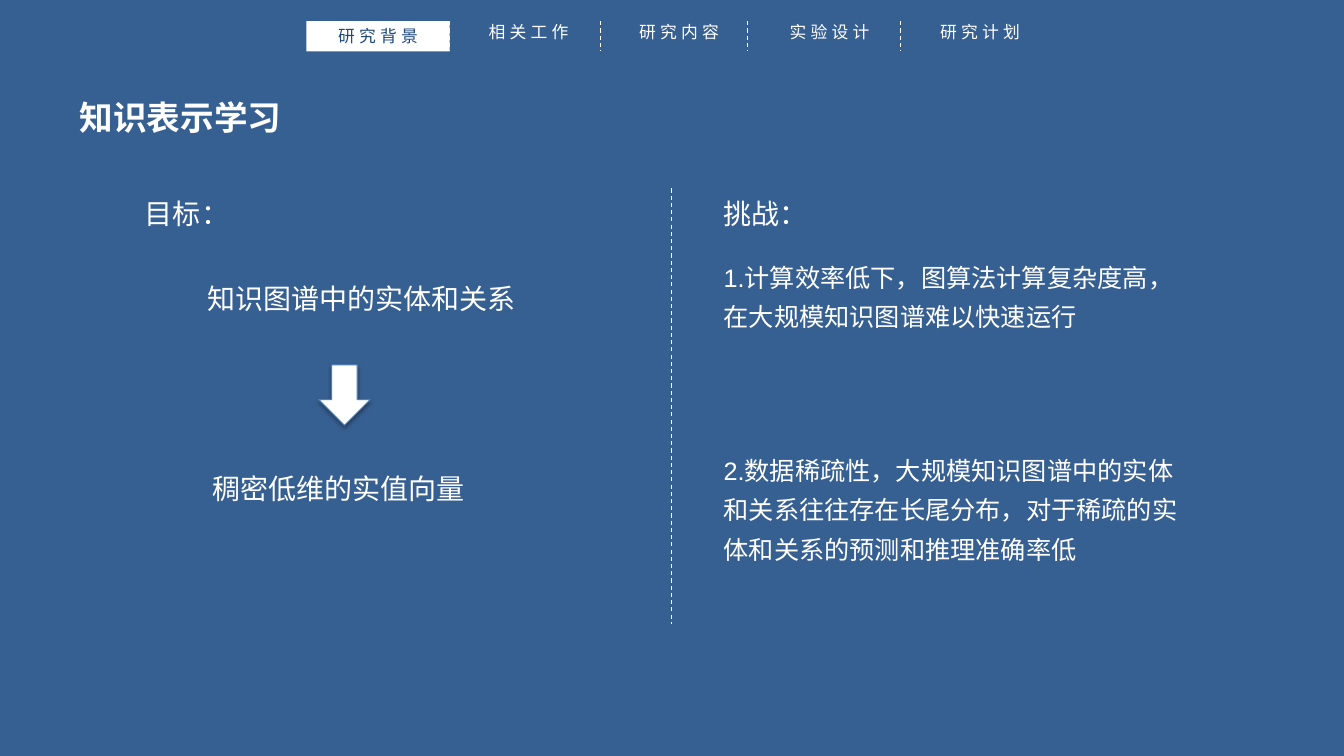
from dataclasses import dataclass

from lxml.etree import SubElement
from pptx import Presentation
from pptx.dml.color import RGBColor
from pptx.enum.dml import MSO_LINE
from pptx.enum.shapes import MSO_CONNECTOR, MSO_SHAPE
from pptx.enum.text import MSO_ANCHOR, PP_ALIGN
from pptx.oxml.ns import qn
from pptx.util import Inches, Pt

COLORS = {"background": "376092", "white": "FFFFFF", "navy": "1F497D",
          "arrow_edge": "4B7EBC", "shadow": "000000"}
WIDTH, HEIGHT = Inches(13.33), Inches(7.5)


@dataclass(frozen=True)
class Box:
    """A rectangle in percent of the slide's width and height."""
    left: float
    top: float
    width: float
    height: float

    def emu(self) -> tuple[int, int, int, int]:
        return (across(self.left), down(self.top),
                across(self.width), down(self.height))


@dataclass(frozen=True)
class Style:
    size: float
    color: str = "white"
    bold: bool = False
    align: PP_ALIGN = PP_ALIGN.LEFT
    line_spacing: float = 1.0
    letter_spacing: float = 0


@dataclass(frozen=True)
class Divider:
    x: float
    top: float
    bottom: float


@dataclass(frozen=True)
class Note:
    box: Box
    lines: tuple[str, ...]
    style: Style


HEADING = Style(24, bold=True)
LEAD = Style(20, line_spacing=1.3)
BODY = Style(18, line_spacing=1.3)
TAB = Style(12, align=PP_ALIGN.CENTER, letter_spacing=3)
ACTIVE_TAB = Style(12, "navy", align=PP_ALIGN.CENTER, letter_spacing=3)

TABS = ("研究背景", "相关工作", "研究内容", "实验设计", "研究计划")
TAB_LEFT, TAB_PITCH, TAB_WIDTH, TAB_HEIGHT = 22.8, 11.2, 10.65, 4
ACTIVE_TOP, TAB_TOP, TAB_BOTTOM = 2.8, 2.27, 6.67
DIVIDERS = [Divider(x, ACTIVE_TOP, TAB_BOTTOM)
            for x in (33.46, 44.71, 55.59, 66.99)] + [Divider(49.96, 24.93, 82.53)]
RIGHT_COLUMN = 53.11
NOTES = (
    Note(Box(10.05, 24, 26.93, 7.2), ("目标：",), LEAD),
    Note(Box(14.7, 35.2, 26.93, 7.2), ("知识图谱中的实体和关系",), LEAD),
    Note(Box(15.08, 60.4, 21.16, 7.2), ("稠密低维的实值向量",), LEAD),
    Note(Box(RIGHT_COLUMN, 24, 26.93, 7.2), ("挑战：",), LEAD),
    Note(Box(RIGHT_COLUMN, 32.8, 37.28, 17.07),
         ("1.计算效率低下，图算法计算复杂度高，", "在大规模知识图谱难以快速运行"), BODY),
    Note(Box(RIGHT_COLUMN, 58.4, 35.63, 17.07),
         ("2.数据稀疏性，大规模知识图谱中的实体和关系往往存在长尾分布，"
          "对于稀疏的实体和关系的预测和推理准确率低",), BODY),
)


def across(percent: float) -> int:
    return round(WIDTH * percent / 100)


def down(percent: float) -> int:
    return round(HEIGHT * percent / 100)


def color(name: str) -> RGBColor:
    return RGBColor.from_string(COLORS[name])


def write(shape, lines: tuple[str, ...], style: Style,
          anchor: MSO_ANCHOR = MSO_ANCHOR.TOP) -> None:
    frame = shape.text_frame
    frame.word_wrap = True
    frame.vertical_anchor = anchor
    frame.text = "\n".join(lines)
    for paragraph in frame.paragraphs:
        paragraph.alignment = style.align
        paragraph.line_spacing = style.line_spacing
        font = paragraph.font
        font.name, font.size, font.bold = "Arial", Pt(style.size), style.bold
        font.color.rgb = color(style.color)
        if style.letter_spacing:
            defaults = paragraph._p.pPr.find(qn("a:defRPr"))
            defaults.set("spc", str(round(style.letter_spacing * 100)))


def add_text(slide, note: Note) -> None:
    write(slide.shapes.add_textbox(*note.box.emu()), note.lines, note.style)


def add_white_shape(slide, kind: MSO_SHAPE, box: Box):
    shape = slide.shapes.add_shape(kind, *box.emu())
    shape.shadow.inherit = False
    shape.fill.solid()
    shape.fill.fore_color.rgb = color("white")
    shape.line.fill.background()
    return shape


def add_divider(slide, divider: Divider) -> None:
    x = across(divider.x)
    line = slide.shapes.add_connector(
        MSO_CONNECTOR.STRAIGHT, x, down(divider.top), x, down(divider.bottom))
    line.line.color.rgb = color("white")
    line.line.width = Pt(0.75)
    line.line.dash_style = MSO_LINE.DASH
    SubElement(line._element.spPr, qn("a:effectLst"))


def add_tabs(slide) -> None:
    active, *others = TABS
    for column, label in enumerate(others, start=1):
        box = Box(TAB_LEFT + column * TAB_PITCH, TAB_TOP, TAB_WIDTH, TAB_HEIGHT)
        add_text(slide, Note(box, (label,), TAB))
    box = Box(TAB_LEFT, ACTIVE_TOP, TAB_WIDTH, TAB_HEIGHT)
    write(add_white_shape(slide, MSO_SHAPE.RECTANGLE, box),
          (active,), ACTIVE_TAB, MSO_ANCHOR.MIDDLE)


def add_arrow(slide) -> None:
    arrow = add_white_shape(slide, MSO_SHAPE.DOWN_ARROW, Box(23.71, 48.27, 3.83, 8))
    arrow.line.color.rgb = color("arrow_edge")
    arrow.line.width = Pt(0.75)
    effects = arrow._element.spPr.find(qn("a:effectLst"))
    shadow = SubElement(effects, qn("a:outerShdw"), blurRad=str(Pt(3.1)),
                        dist=str(Pt(1.8)), dir="5400000", rotWithShape="0")
    tint = SubElement(shadow, qn("a:srgbClr"), val=COLORS["shadow"])
    SubElement(tint, qn("a:alpha"), val="35000")


def main() -> None:
    presentation = Presentation()
    presentation.slide_width, presentation.slide_height = WIDTH, HEIGHT
    slide = presentation.slides.add_slide(presentation.slide_layouts[5])
    slide.background.fill.solid()
    slide.background.fill.fore_color.rgb = color("background")

    title = slide.shapes.title
    title.left, title.top, title.width, title.height = Box(5.18, 12.13, 83.57, 6.67).emu()
    write(title, ("知识表示学习",), HEADING, MSO_ANCHOR.MIDDLE)

    for divider in DIVIDERS:
        add_divider(slide, divider)
    add_tabs(slide)
    add_arrow(slide)
    for note in NOTES:
        add_text(slide, note)
    presentation.save("out.pptx")


if __name__ == "__main__":
    main()
